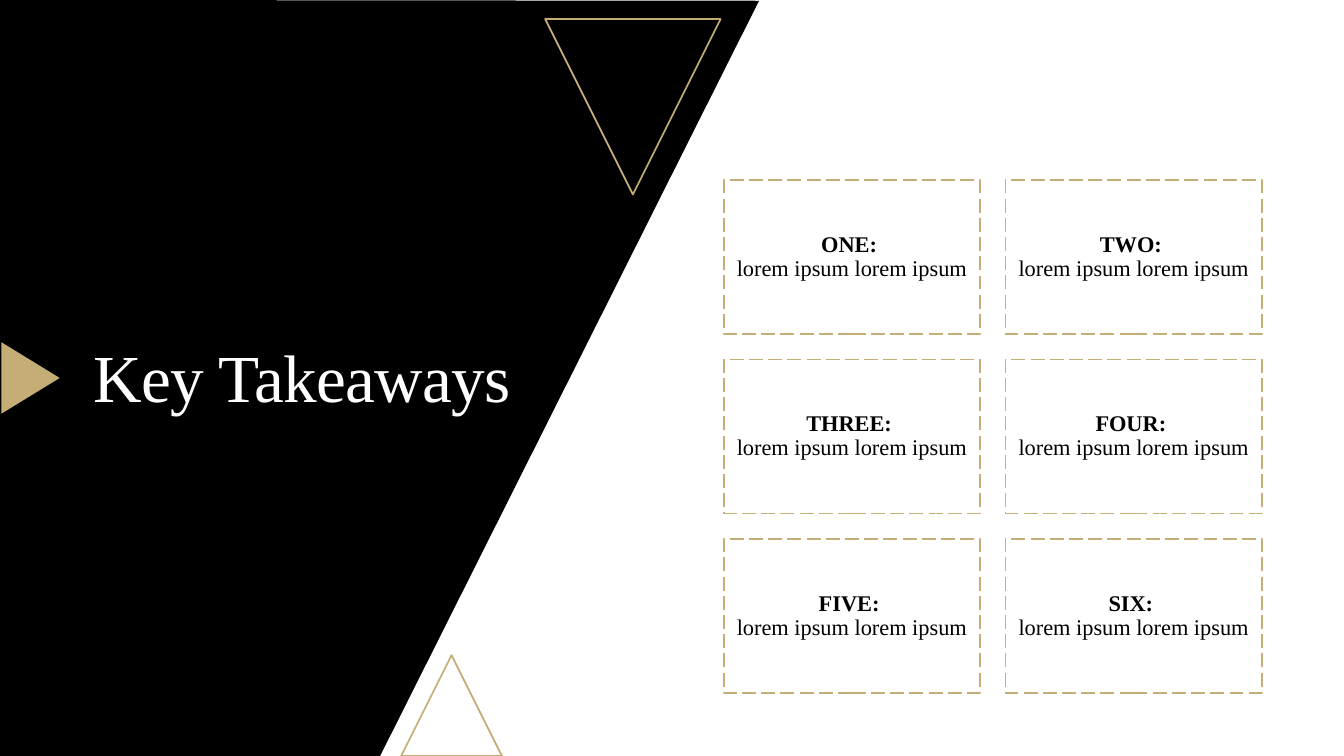
from copy import deepcopy
from dataclasses import dataclass

from pptx import Presentation
from pptx.dml.color import RGBColor
from pptx.enum.dml import MSO_LINE
from pptx.enum.shapes import MSO_SHAPE
from pptx.enum.text import MSO_ANCHOR, MSO_AUTO_SIZE, PP_ALIGN
from pptx.oxml.ns import qn
from pptx.util import Cm, Pt

TRIANGLE = MSO_SHAPE.ISOSCELES_TRIANGLE
RECTANGLE = MSO_SHAPE.RECTANGLE
LONG_DASH = MSO_LINE.LONG_DASH
MIDDLE = MSO_ANCHOR.MIDDLE
NO_AUTOFIT = MSO_AUTO_SIZE.NONE
CENTER = PP_ALIGN.CENTER
TITLE_ONLY = 5


@dataclass(frozen=True)
class Theme:
    black: RGBColor = RGBColor(0x00, 0x00, 0x00)
    white: RGBColor = RGBColor(0xFF, 0xFF, 0xFF)
    gold: RGBColor = RGBColor(0xC4, 0xAE, 0x75)
    font: str = "Times New Roman"
    title_size: Pt = Pt(48)
    card_size: Pt = Pt(16)
    line_width: Pt = Pt(1.25)
    line_spacing: float = 0.9


class SlideBuilder:
    def __init__(self, slide, theme):
        self.slide = slide
        self.theme = theme

    def paint(self, shape, fill=None, line=None):
        shape.shadow.inherit = False
        if fill is None:
            shape.fill.background()
        else:
            shape.fill.solid()
            shape.fill.fore_color.rgb = fill
        if line is None:
            shape.line.fill.background()
        else:
            shape.line.color.rgb = line
            shape.line.width = self.theme.line_width

    def style_run(self, run, size, color, bold=False):
        run.font.name = self.theme.font
        run.font.size = size
        run.font.color.rgb = color
        run.font.bold = bold

    def center_text(self, frame):
        frame.word_wrap = True
        frame.vertical_anchor = MIDDLE
        paragraph = frame.paragraphs[0]
        paragraph.alignment = CENTER
        paragraph.line_spacing = self.theme.line_spacing
        return paragraph

    def panel(self, corners):
        start, *others = [(Cm(x), Cm(y)) for x, y in corners]
        outline = self.slide.shapes.build_freeform(*start)
        outline.add_line_segments(others, close=True)
        self.paint(outline.convert_to_shape(), fill=self.theme.black)

    def preset(self, kind, box, rotation=0, fill=None, line=None):
        shape = self.slide.shapes.add_shape(kind, *map(Cm, box))
        shape.rotation = rotation
        self.paint(shape, fill, line)
        return shape

    def card(self, box, heading, body):
        card = self.preset(RECTANGLE, box, line=self.theme.gold)
        card.line.dash_style = LONG_DASH
        frame = card.text_frame
        frame.margin_left = frame.margin_right = Cm(0.18)
        frame.margin_top = frame.margin_bottom = Cm(0.18)
        paragraph = self.center_text(frame)
        paragraph.text = f"{heading}: \v{body}"
        heading_run, body_run = paragraph.runs
        self.style_run(heading_run, self.theme.card_size, self.theme.black, bold=True)
        self.style_run(body_run, self.theme.card_size, self.theme.black)
        line_break = paragraph._p.find(qn("a:br"))
        line_break.append(deepcopy(heading_run._r.get_or_add_rPr()))

    def title(self, box, wording):
        title = self.slide.shapes.title
        title.left, title.top, title.width, title.height = map(Cm, box)
        title.text_frame.text = wording
        title.text_frame.auto_size = NO_AUTOFIT
        run = self.center_text(title.text_frame).runs[0]
        self.style_run(run, self.theme.title_size, self.theme.white)
        run._r.get_or_add_rPr().set("spc", "-50")
        self.slide.shapes.element.append(title.element)


def main():
    presentation = Presentation()
    presentation.slide_width = Cm(33.87)
    presentation.slide_height = Cm(19.05)
    slide = presentation.slides.add_slide(presentation.slide_layouts[TITLE_ONLY])
    theme = Theme()
    builder = SlideBuilder(slide, theme)

    builder.panel([(0, 0), (19.13, 0.02), (9.58, 19.05), (0, 19.05)])
    builder.preset(TRIANGLE, (10.11, 16.51, 2.54, 2.54), line=theme.gold)
    builder.preset(TRIANGLE, (13.74, 0.48, 4.42, 4.42), rotation=180, line=theme.gold)
    builder.preset(TRIANGLE, (-0.13, 8.79, 1.8, 1.47), rotation=90, fill=theme.gold)

    headings = ["ONE", "TWO", "THREE", "FOUR", "FIVE", "SIX"]
    left, top, width, height, gap = 18.24, 4.54, 6.46, 3.88, 0.64
    for index, heading in enumerate(headings):
        row, column = divmod(index, 2)
        x = left + column * (width + gap)
        y = top + row * (height + gap)
        builder.card((x, y, width, height), heading, "lorem ipsum lorem ipsum")

    builder.title((1.52, 5.44, 12.19, 8.33), "Key Takeaways")
    presentation.save("out.pptx")


if __name__ == "__main__":
    main()
